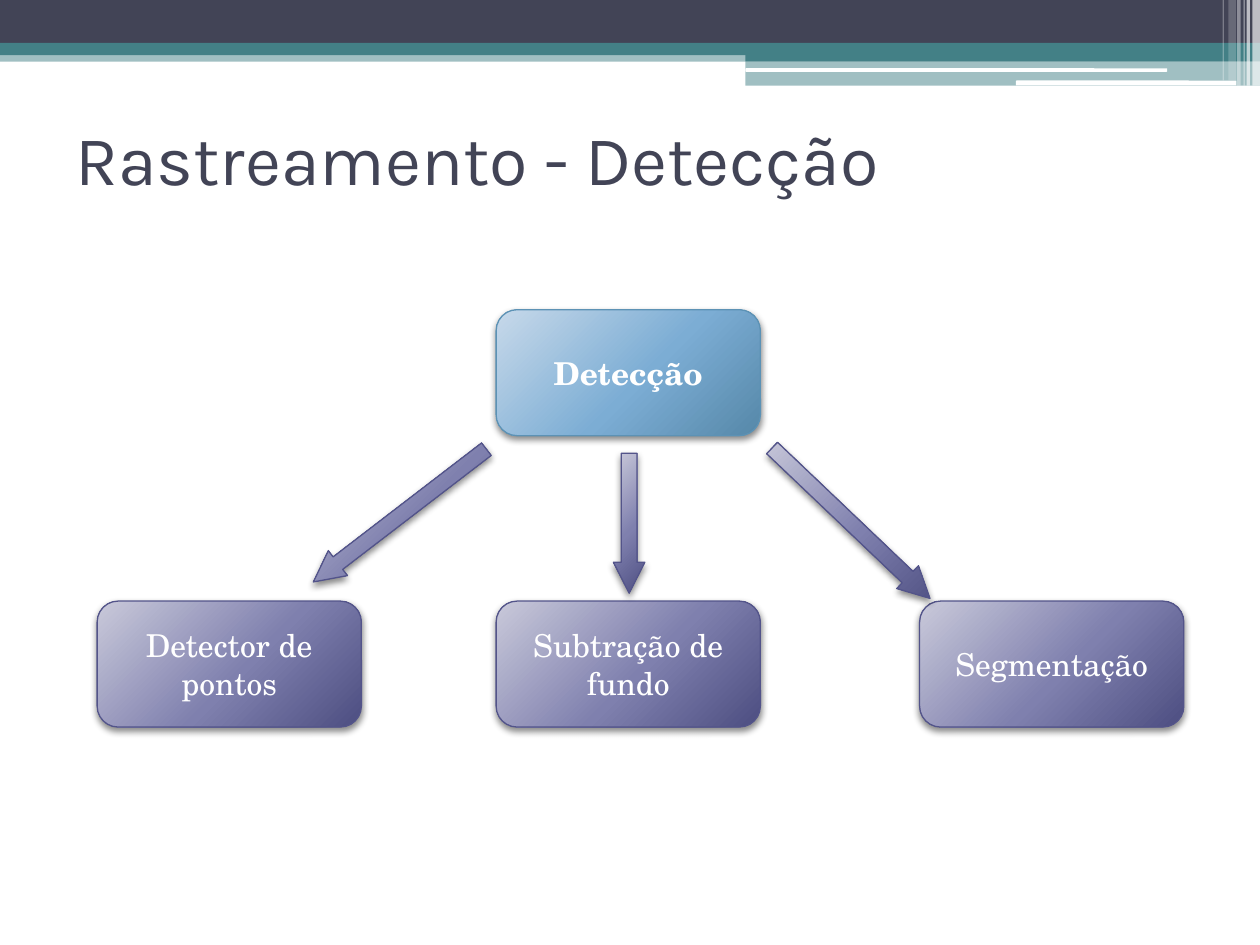
from collections import namedtuple

from lxml import etree
from pptx import Presentation
from pptx.dml.color import RGBColor
from pptx.enum import shapes, text
from pptx.oxml import ns
from pptx.util import Pt

Box = namedtuple("Box", "x y w h")
Gradient = namedtuple("Gradient", "light mid dark line")
KIND = shapes.MSO_SHAPE


class Theme:
    ink, teal, white, shadow = "424456", "438086", "FFFFFF", "000000"
    blue = Gradient("C7D9EA", "7CADD4", "5688A9", "5C92B5")
    purple = Gradient("C9C9DA", "7F80AE", "4D4E81", "53548A")
    title_font, body_font = "Karla", "TeX Gyre Schola"
    title_size, body_size, line = 40, 18, 0.75


def add_xml(parent, xml):
    """Append a fragment written with the a: prefix and return it."""
    el = etree.fromstring(f'<a:x {ns.nsdecls("a")}>{xml}</a:x>')[0]
    parent.append(el)
    return el


def add_shape(slide, kind, box):
    sp = slide.shapes.add_shape(kind, *map(Pt, box))
    sp.shadow.inherit = False
    return sp


def add_bar(slide, box, color, alpha=100, kind=KIND.RECTANGLE):
    sp = add_shape(slide, kind, box)
    sp.fill.solid()
    sp.fill.fore_color.rgb = RGBColor.from_string(color)
    sp.line.fill.background()
    if alpha < 100:
        clr = sp._element.spPr.find(".//" + ns.qn("a:srgbClr"))
        add_xml(clr, f'<a:alpha val="{alpha * 1000}"/>')


def style_glossy(sp, grad):
    """Give a shape the diagonal gradient, thin outline and soft shadow."""
    sp.line.color.rgb = RGBColor.from_string(grad.line)
    sp.line.width = Pt(Theme.line)
    spPr = sp._element.spPr
    stops = "".join(f'<a:gs pos="{pos * 1000}"><a:srgbClr val="{c}"/></a:gs>'
                    for pos, c in zip((0, 55, 100), grad))
    fill = add_xml(spPr, f'<a:gradFill rotWithShape="0"><a:gsLst>{stops}</a:gsLst>'
                   '<a:path path="circle"><a:fillToRect l="-40000" t="-90000" '
                   'r="140000" b="190000"/></a:path></a:gradFill>')
    spPr.find(ns.qn("a:prstGeom")).addnext(fill)
    add_xml(spPr.find(ns.qn("a:effectLst")),
            f'<a:outerShdw blurRad="{int(Pt(4))}" dist="{int(Pt(2))}" '
            f'dir="5400000" rotWithShape="0"><a:srgbClr val="{Theme.shadow}">'
            '<a:alpha val="45000"/></a:srgbClr></a:outerShdw>')


def set_text(tf, words, size, font, color, align, bold=False):
    tf.word_wrap = True
    tf.vertical_anchor = text.MSO_ANCHOR.MIDDLE
    p = tf.paragraphs[0]
    p.alignment = align
    r = p.add_run()
    r.text = words
    for name, value in dict(size=Pt(size), name=font, bold=bold).items():
        setattr(r.font, name, value)
    r.font.color.rgb = RGBColor.from_string(color)


def add_header(slide, box):
    x, y, w, h = box
    tab_x = x + 426
    tab_w = w - 426
    for bar in (
        (Box(x, y + 28.8, w, 6.5), Theme.teal, 50),
        (Box(x, y, w, 24.5), Theme.ink),
        (Box(x, y + 24.5, w, 7), Theme.teal),
        (Box(tab_x, y + 28, tab_w, 7), Theme.teal),
        (Box(tab_x, y + 35, tab_w, h - 35), Theme.teal, 50),
        (Box(tab_x, y + 39, 241, 2), Theme.white, 100, KIND.ROUNDED_RECTANGLE),
        (Box(x + 580.5, y + 46, 126, 2.8), Theme.white, 100, KIND.ROUNDED_RECTANGLE),
    ):
        add_bar(slide, *bar)
    for left, width, height, alpha in ((715.7, 4.3, h, 65), (712.3, 2, h, 65),
                                       (710.6, 0.7, h, 60), (707, 2, h, 40),
                                       (702, 4.3, 46, 20), (698.7, 0.7, 46, 30)):
        add_bar(slide, Box(x + left, y, width, height), Theme.white, alpha)


def add_title(slide, box, words):
    title = slide.shapes.title
    for name, value in zip(("left", "top", "width", "height"), box):
        setattr(title, name, Pt(value))
    set_text(title.text_frame, words, Theme.title_size, Theme.title_font,
             Theme.ink, text.PP_ALIGN.LEFT)


def add_node(slide, box, words, grad, bold=False):
    sp = add_shape(slide, KIND.ROUNDED_RECTANGLE, box)
    style_glossy(sp, grad)
    set_text(sp.text_frame, words, Theme.body_size, Theme.body_font,
             Theme.white, text.PP_ALIGN.CENTER, bold)


def add_arrow(slide, cx, cy, length, angle, thick=18):
    sp = add_shape(slide, KIND.RIGHT_ARROW,
                   Box(cx - length / 2, cy - thick / 2, length, thick))
    sp.adjustments[0], sp.adjustments[1] = 0.5, 0.98
    sp.rotation = angle
    style_glossy(sp, Theme.purple)


def add_tree(slide, box, root, leaves):
    """Draw the root above its row of leaves, with an arrow to each."""
    x, y, w, h = box
    node_w, node_h = 151, 72
    middle = x + 228
    add_node(slide, Box(middle, y, node_w, node_h), root, Theme.blue, True)
    for left, words in zip((x, middle, x + w - node_w), leaves):
        add_node(slide, Box(left, y + h - node_h, node_w, node_h), words, Theme.purple)
    for cx, cy, length, angle in ((173, 117.6, 124.6, 142.5), (430.8, 122, 124.6, 43.6),
                                  (304, 122, 80, 90)):
        add_arrow(slide, x + cx, y + cy, length, angle)


def main():
    prs = Presentation()
    prs.slide_width, prs.slide_height = Pt(720), Pt(540)
    slide = prs.slides.add_slide(prs.slide_layouts[5])
    add_header(slide, Box(0, 0, 720, 49))
    add_title(slide, Box(36, 48, 648, 84), "Rastreamento - Detecção")
    add_tree(slide, Box(55.5, 177, 621, 238.5), "Detecção",
             ("Detector de pontos", "Subtração de fundo", "Segmentação"))
    prs.save("out.pptx")


if __name__ == "__main__":
    main()
